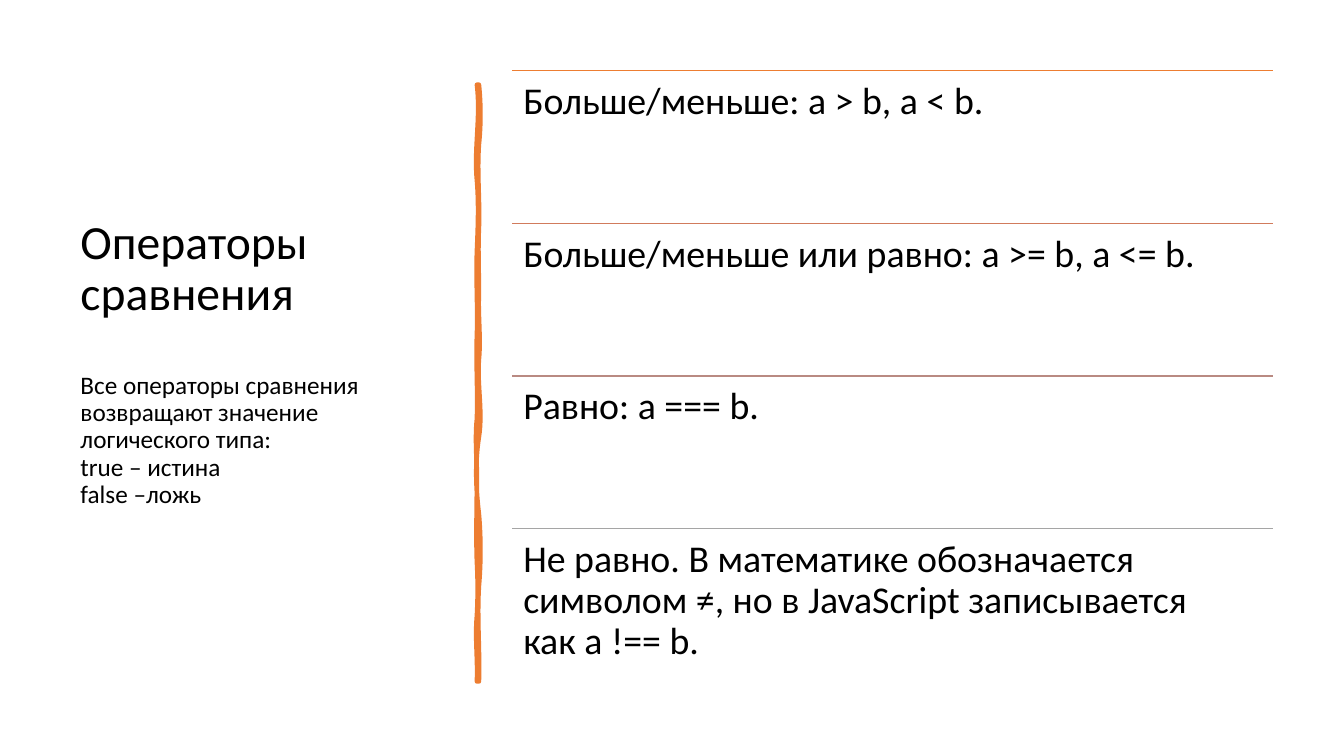
from lxml.etree import SubElement
from pptx import Presentation
from pptx.dml.color import RGBColor
from pptx.enum.shapes import MSO_CONNECTOR
from pptx.enum.text import MSO_ANCHOR
from pptx.oxml.ns import qn
from pptx.util import Inches, Pt

COLORS = {
    "text": "000000",
    "bar": "ED7D31",
    "rule1": "ED7D31",
    "rule2": "D17B5C",
    "rule3": "B98A82",
    "rule4": "A5A5A5",
}
FONT = "Calibri"
TIE, HARD_SPACE = "~", chr(160)
TITLE = "Операторы сравнения"
NOTE = ("Все операторы сравнения возвращают значение логического типа:"
        "\vtrue~– истина\vfalse~–ложь")
OPERATORS = [
    "Больше/меньше:~a > b,~a < b.",
    "Больше/меньше или равно:~a >= b,~a <= b.",
    "Равно:~a === b.",
    "Не равно. В математике обозначается символом~≠, "
    "но в JavaScript записывается как~a !== b.",
]
RIGHT_EDGE = [(2, 2, 0.1), (-2, 1, 0.24), (-1, 0, 0.35), (-1, 2, 0.46),
              (-2, 4, 0.59), (-4, -3, 0.72), (2, 2, 0.84), (-2, 1, 1)]
LEFT_EDGE = [(1, -2, 0.89), (1, 1, 0.8), (-1, 0, 0.66), (0, -2, 0.56),
             (1, -1, 0.42), (1, -1, 0.28), (1, 2, 0.16), (-3, 4, 0)]


def color(name):
    return RGBColor.from_string(COLORS[name])


def add_text_box(s, box, inset):
    tf = s.shapes.add_textbox(*map(Inches, box)).text_frame
    tf.word_wrap = True
    tf.margin_left = tf.margin_right = Inches(inset)
    tf.margin_top = tf.margin_bottom = Inches(inset)
    return tf


def write(p, text, size):
    p.text = text.replace(TIE, HARD_SPACE)
    p.line_spacing = 0.9
    for r in p.runs:
        r.font.name = FONT
        r.font.size = Pt(size)
        r.font.color.rgb = color("text")


def add_heading(s, box):
    tf = add_text_box(s, box, 0.1)
    tf.vertical_anchor = MSO_ANCHOR.MIDDLE
    tf.margin_top = Inches(0.05)
    tf.margin_bottom = Inches(0.35)
    write(tf.paragraphs[0], TITLE, 34)
    p = tf.add_paragraph()
    write(p, NOTE, 18)
    p.space_before = Pt(37)


def wavy_edge(x, top, height, start, waves):
    points = []
    for first, second, end in waves:
        for bend, t in ((first, 1 / 3), (second, 2 / 3), (0, 1)):
            share = start + (end - start) * t
            points.append((Inches(x + bend / 100),
                           Inches(top + height * share)))
        start = end
    return points


def curve_outline(shape):
    outline = shape._element.find(".//" + qn("a:path"))
    lines = outline.findall(qn("a:lnTo"))
    for i in range(0, len(lines), 3):
        curve = SubElement(outline, qn("a:cubicBezTo"))
        lines[i].addprevious(curve)
        for line in lines[i:i + 3]:
            curve.append(line[0])
            outline.remove(line)


def add_brush_bar(s, box):
    x, y, w, h = box
    right = wavy_edge(x + w, y, h, 0, RIGHT_EDGE)
    end = [(Inches(x + w * t / 3), Inches(y + h)) for t in (2, 1, 0)]
    left = wavy_edge(x, y, h, 1, LEFT_EDGE)
    outline = s.shapes.build_freeform(Inches(x + w), Inches(y))
    outline.add_line_segments(right + end + left, close=False)
    bar = outline.convert_to_shape()
    curve_outline(bar)
    SubElement(bar._element.find(".//" + qn("a:path")), qn("a:close"))
    bar.shadow.inherit = False
    bar.fill.solid()
    bar.fill.fore_color.rgb = color("bar")
    bar.line.color.rgb = color("bar")
    bar.line.width = Pt(3.25)
    SubElement(bar.line._get_or_add_ln(), qn("a:round"))


def add_operator_list(s, box):
    x, y, w, h = box
    row = h / len(OPERATORS)
    for i, text in enumerate(OPERATORS):
        top = y + i * row
        rule = s.shapes.add_connector(
            MSO_CONNECTOR.STRAIGHT, *map(Inches, (x, top, x + w, top)))
        rule.line.color.rgb = color(f"rule{i + 1}")
        rule.line.width = Pt(1)
        SubElement(rule._element.spPr, qn("a:effectLst"))
        tf = add_text_box(s, (x, top, w, row), 0.11)
        write(tf.paragraphs[0], text, 27)


def main():
    prs = Presentation()
    prs.slide_width, prs.slide_height = Inches(13.33), Inches(7.5)
    s = prs.slides.add_slide(prs.slide_layouts[6])
    add_heading(s, (0.7, 0.7, 3.74, 6.11))
    add_brush_bar(s, (4.73, 0.84, 0.02, 5.92))
    add_operator_list(s, (5.08, 0.7, 7.55, 6.06))
    prs.save("out.pptx")


if __name__ == "__main__":
    main()
